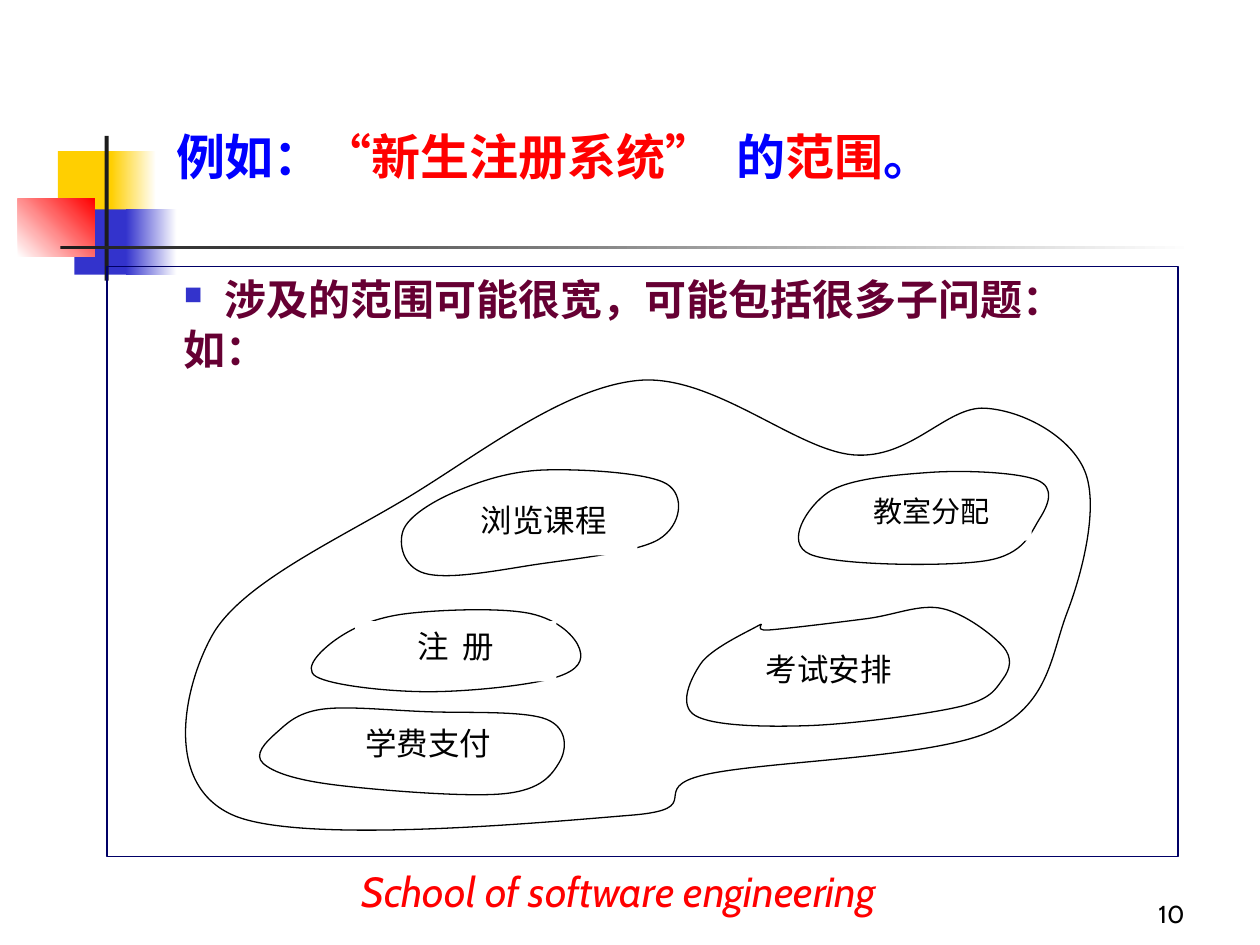
from lxml import etree
from pptx import Presentation
from pptx.dml.color import RGBColor
from pptx.enum.shapes import MSO_SHAPE
from pptx.enum.text import MSO_ANCHOR, PP_ALIGN
from pptx.oxml.ns import qn
from pptx.util import Cm, Pt

RECTANGLE = MSO_SHAPE.RECTANGLE
TOP, BOTTOM = MSO_ANCHOR.TOP, MSO_ANCHOR.BOTTOM
LEFT, CENTER, RIGHT, JUSTIFY = PP_ALIGN.LEFT, PP_ALIGN.CENTER, PP_ALIGN.RIGHT, PP_ALIGN.JUSTIFY
SERIF, CJK, SANS = "Times New Roman", "Noto Sans CJK SC", "Cabin"
BLACK, WHITE, RED, BLUE = "000000", "FFFFFF", "FF0000", "0000FF"
YELLOW, INDIGO, CHARCOAL = "FFCF01", "3333CC", "1C1C1C"
NAVY, MAROON = "000066", "660033"

# Decoration: left, top, width, height in cm, one colour or two, gradient angle
DECORATION = [
    ((1.17, 3.05, 1.22, 1.32), [YELLOW], 0),
    ((2.24, 3.05, 0.91, 1.32), [YELLOW, WHITE], 0),
    ((1.5, 4.22, 1.17, 1.32), [INDIGO], 0),
    ((2.54, 4.22, 1.02, 1.32), [INDIGO, WHITE], 0),
    ((0.36, 4.01, 1.55, 1.17), [WHITE, RED], 45),
    ((2.11, 2.74, 0.08, 2.92), [CHARCOAL], 0),
    ((1.22, 4.95, 22.86, 0.08), [CHARCOAL, WHITE], 0),
]

TITLE = [("例如：", SERIF, BLUE), ("“新生注册系统”", SERIF, RED), ("  的", SERIF, BLUE),
         ("范围", CJK, RED), ("。", SERIF, BLUE)]
BODY = ["涉及的范围可能很宽，可能包括很多子问题：", "如："]
FOOTER = "School of software engineering"
PAGE_NUMBER = "10"

# Outlines: points the smooth closed curve runs through, in units of 0.0254 cm
UNIT = Cm(0.0254)
SCOPE = [(325, 394), (506, 302), (677, 361), (782, 324), (861, 374), (847, 486),
         (785, 581), (559, 615), (501, 647), (185, 647), (168, 505)]

# Sub-problems: label, label box in cm, text size, outline
SUBPROBLEMS = [
    ("浏览课程", (9.07, 9.98, 3.78, 1.22), 18,
     [(362, 390), (432, 373), (529, 384), (523, 428), (419, 449), (337, 455), (320, 421)]),
    ("注  册", (7.16, 12.52, 4.06, 1.22), 18,
     [(323, 487), (421, 487), (460, 515), (440, 538), (340, 549), (251, 537), (269, 506)]),
    ("学费支付", (6.6, 14.48, 4.06, 1.22), 18,
     [(255, 563), (341, 565), (434, 571), (444, 605), (400, 630), (266, 623), (209, 606),
      (219, 582)]),
    ("教室分配", (16.74, 9.91, 4.06, 0.99), 16.6,
     [(657, 391), (738, 375), (823, 381), (825, 412), (783, 445), (643, 440)]),
    ("考试安排", (14.68, 12.98, 4.06, 1.22), 18,
     [(601, 497), (610, 500), (688, 491), (748, 483), (796, 513), (796, 539), (761, 561),
      (639, 576), (552, 568), (556, 527)]),
]

presentation = Presentation()
presentation.slide_width, presentation.slide_height = Cm(25.4), Cm(19.05)
slide = presentation.slides.add_slide(presentation.slide_layouts[6])


def color(value):
    return RGBColor.from_string(value)


def style_shape(shape, colors, angle=0, line=None):
    shape.shadow.inherit = False
    if len(colors) == 2:
        shape.fill.gradient()
        shape.fill.gradient_angle = angle
        for stop, value in zip(shape.fill.gradient_stops, colors):
            stop.color.rgb = color(value)
    elif colors:
        shape.fill.solid()
        shape.fill.fore_color.rgb = color(colors[0])
    else:
        shape.fill.background()
    if line:
        shape.line.color.rgb = color(line)
        shape.line.width = Pt(0.75)
    else:
        shape.line.fill.background()


def add_rectangle(box, colors=(), angle=0, line=None):
    shape = slide.shapes.add_shape(RECTANGLE, *map(Cm, box))
    style_shape(shape, colors, angle, line)
    return shape


def add_run(paragraph, text, size, font, value, bold=False, italic=False):
    run = paragraph.add_run()
    run.text = text
    run.font.size, run.font.name = Pt(size), font
    run.font.bold, run.font.italic = bold, italic
    run.font.color.rgb = color(value)
    east_asian = etree.SubElement(run._r.get_or_add_rPr(), qn("a:ea"))
    east_asian.set("typeface", CJK)


def first_paragraph(shape, anchor, alignment):
    frame = shape.text_frame
    frame.word_wrap = True
    frame.vertical_anchor = anchor
    frame.paragraphs[0].alignment = alignment
    return frame.paragraphs[0]


def add_text_box(box, alignment):
    return first_paragraph(slide.shapes.add_textbox(*map(Cm, box)), BOTTOM, alignment)


def handle(point, before, after, direction):
    """Bezier handle of a smooth curve: a sixth of the step between the neighbours."""
    return tuple(p + direction * (a - b) / 6 for p, b, a in zip(point, before, after))


def add_outline(points):
    count = len(points)
    path_points = []
    for index, point in enumerate(points):
        following, second = points[(index + 1) % count], points[(index + 2) % count]
        path_points += [handle(point, points[index - 1], following, 1),
                        handle(following, point, second, -1), following]
    builder = slide.shapes.build_freeform(*points[0], scale=UNIT)
    builder.add_line_segments(path_points, close=True)
    shape = builder.convert_to_shape()
    style_shape(shape, [WHITE], line=BLACK)
    # Turn every three line points into one Bezier segment
    outline = shape._element.find(".//" + qn("a:path"))
    lines = outline.findall(qn("a:lnTo"))
    for start in range(0, len(lines), 3):
        curve = etree.Element(qn("a:cubicBezTo"))
        lines[start].addprevious(curve)
        for line in lines[start:start + 3]:
            curve.append(line[0])
            outline.remove(line)


# Corner squares and rules
for box, colors, angle in DECORATION:
    add_rectangle(box, colors, angle)

# Page number, title and footer
add_run(add_text_box((18.85, 17.58, 5.28, 1.27), RIGHT), PAGE_NUMBER, 14, SANS, BLACK)
title = add_text_box((3.3, 1.52, 18.87, 2.34), LEFT)
for text, font, value in TITLE:
    add_run(title, text, 28, font, value, bold=True)
add_run(add_text_box((7.04, 17.5, 15.44, 1.09), LEFT), FOOTER, 24, SANS, RED, italic=True)

# Framed body text
body = add_rectangle((2.16, 5.38, 21.59, 11.89), line=NAVY)
paragraph = first_paragraph(body, TOP, JUSTIFY)
for index, text in enumerate(BODY):
    if index:
        paragraph = body.text_frame.add_paragraph()
        paragraph.alignment = JUSTIFY
    paragraph.line_spacing = 1.0
    properties = paragraph._p.get_or_add_pPr()
    properties.set("marL", str(Cm(2.11)))
    properties.set("indent", str(Cm(-0.81)))
    if index == 0:
        bullet_color = etree.SubElement(properties, qn("a:buClr"))
        etree.SubElement(bullet_color, qn("a:srgbClr")).set("val", INDIGO)
        etree.SubElement(properties, qn("a:buSzPct")).set("val", "60000")
        etree.SubElement(properties, qn("a:buChar")).set("char", "■")
    add_run(paragraph, text, 24, SERIF, MAROON, bold=True)

# Scope outline with its sub-problems
add_outline(SCOPE)
for label, box, size, points in SUBPROBLEMS:
    add_outline(points)
    paragraph = first_paragraph(add_rectangle(box, [WHITE]), TOP, CENTER)
    if size < 18:
        paragraph.line_spacing = 0.9
    add_run(paragraph, label, size, SERIF, BLACK)

presentation.save("out.pptx")
